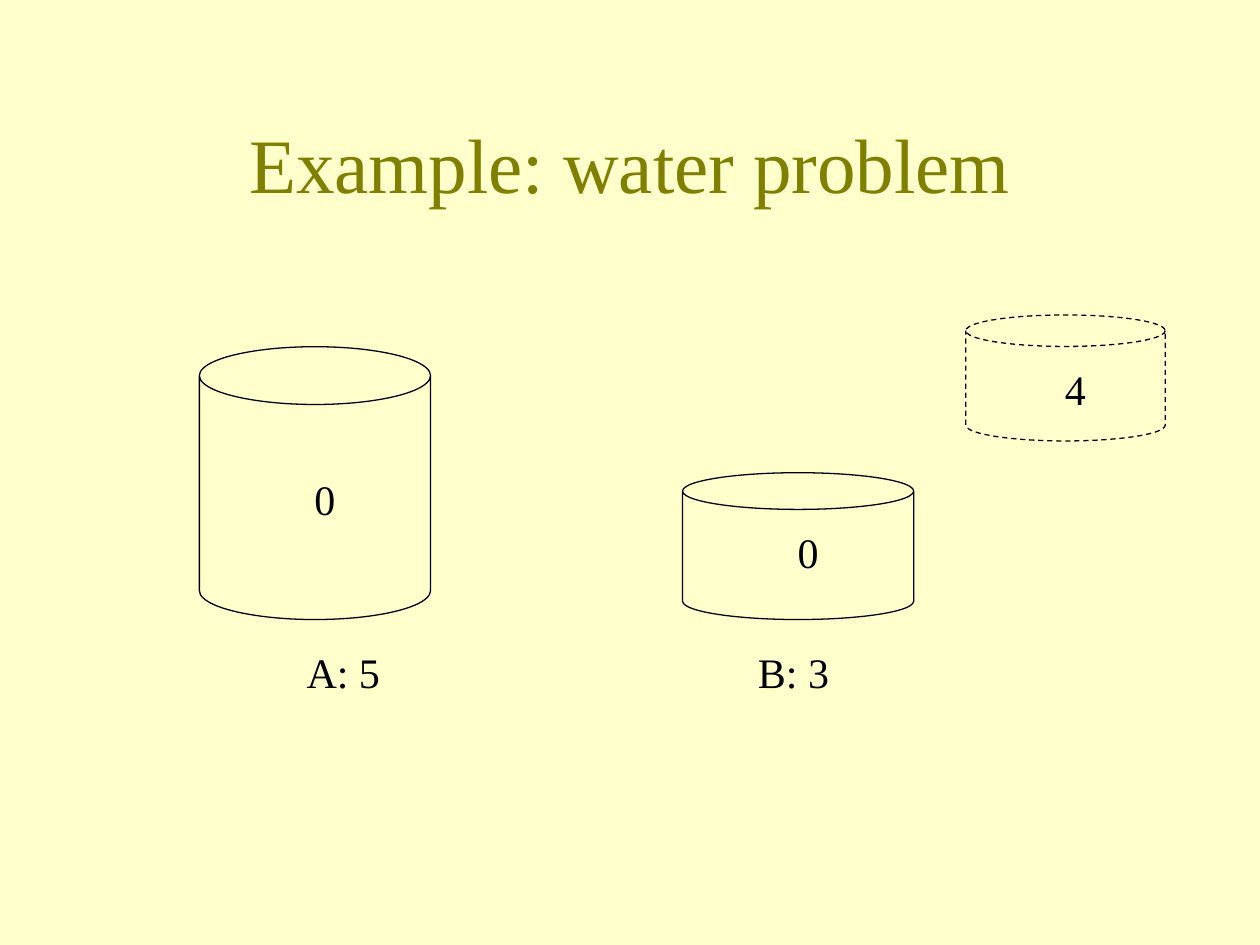
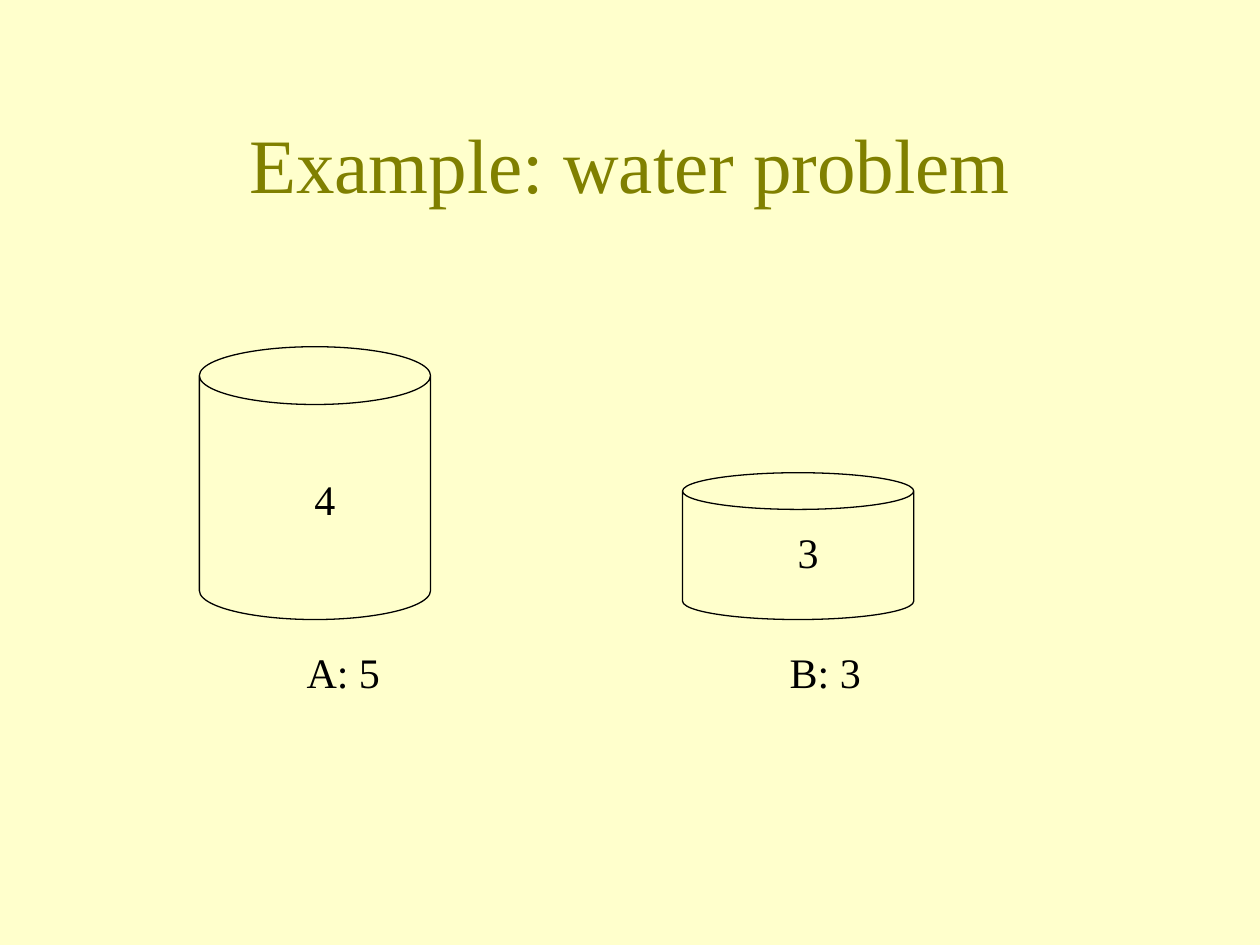
from pptx import Presentation
from pptx.dml.color import RGBColor
from pptx.enum.dml import MSO_LINE
from pptx.enum.shapes import MSO_SHAPE
from pptx.enum.text import MSO_ANCHOR, MSO_AUTO_SIZE, PP_ALIGN
from pptx.util import Cm, Pt

COLORS = {"background": "FFFFCC", "title": "808000", "ink": "000000"}
FONT = "Times New Roman"
TITLE_ONLY = 5

# Boxes in cm: left, top, width, height
TITLE_BOX = (1.91, 1.69, 21.59, 3.16)
JUG_A = (4.02, 6.99, 4.66, 5.5)
JUG_B = (13.76, 9.53, 4.66, 2.96)
TARGET = (19.47, 6.35, 4.02, 2.54)
TEXT_HEIGHT = 1.27
AMOUNT_WIDTH = 0.93
LABEL_WIDTH = 2.0
LABEL_GAP = 0.41


def rgb(name):
    return RGBColor.from_string(COLORS[name])


def add_run(p, text, size, color):
    r = p.add_run()
    r.text = text
    r.font.name = FONT
    r.font.size = Pt(size)
    r.font.color.rgb = rgb(color)


def add_title(s, text, box):
    sp = s.shapes.title
    sp.left, sp.top, sp.width, sp.height = map(Cm, box)
    tf = sp.text_frame
    tf.auto_size = MSO_AUTO_SIZE.NONE
    tf.vertical_anchor = MSO_ANCHOR.MIDDLE
    p = tf.paragraphs[0]
    p.alignment = PP_ALIGN.CENTER
    add_run(p, text, 44, "title")


def add_text(s, text, left, top, width):
    sp = s.shapes.add_textbox(Cm(left), Cm(top), Cm(width), Cm(TEXT_HEIGHT))
    tf = sp.text_frame
    tf.word_wrap = False
    tf.auto_size = MSO_AUTO_SIZE.SHAPE_TO_FIT_TEXT
    add_run(tf.paragraphs[0], text, 24, "ink")


def add_jug(s, box, amount, amount_dy, label=None, label_dx=0, dashed=False):
    """Draw a jug with its amount inside and, if given, its capacity below."""
    left, top, width, height = box
    sp = s.shapes.add_shape(MSO_SHAPE.CAN, *map(Cm, box))
    sp.shadow.inherit = False
    sp.fill.background()
    sp.line.color.rgb = rgb("ink")
    sp.line.width = Pt(0.75)
    if dashed:
        sp.line.dash_style = MSO_LINE.DASH
    add_text(s, amount, left + width / 2 - 0.26, top + amount_dy, AMOUNT_WIDTH)
    if label:
        add_text(s, label, left + label_dx, top + height + LABEL_GAP, LABEL_WIDTH)


def add_water_slide(prs, amount_a, amount_b, label_b_dx, target=None):
    s = prs.slides.add_slide(prs.slide_layouts[TITLE_ONLY])
    add_title(s, "Example: water problem", TITLE_BOX)
    add_jug(s, JUG_A, amount_a, 2.44, "A: 5", 1.91)
    add_jug(s, JUG_B, amount_b, 0.95, "B: 3", label_b_dx)
    if target:
        add_jug(s, TARGET, target, 0.85, dashed=True)


def main():
    prs = Presentation()
    prs.slide_width, prs.slide_height = Cm(25.4), Cm(19.05)
    fill = prs.slide_master.background.fill
    fill.solid()
    fill.fore_color.rgb = rgb("background")
    add_water_slide(prs, "0", "0", 1.27, target="4")
    add_water_slide(prs, "4", "3", 1.91)
    prs.save("out.pptx")


if __name__ == "__main__":
    main()
